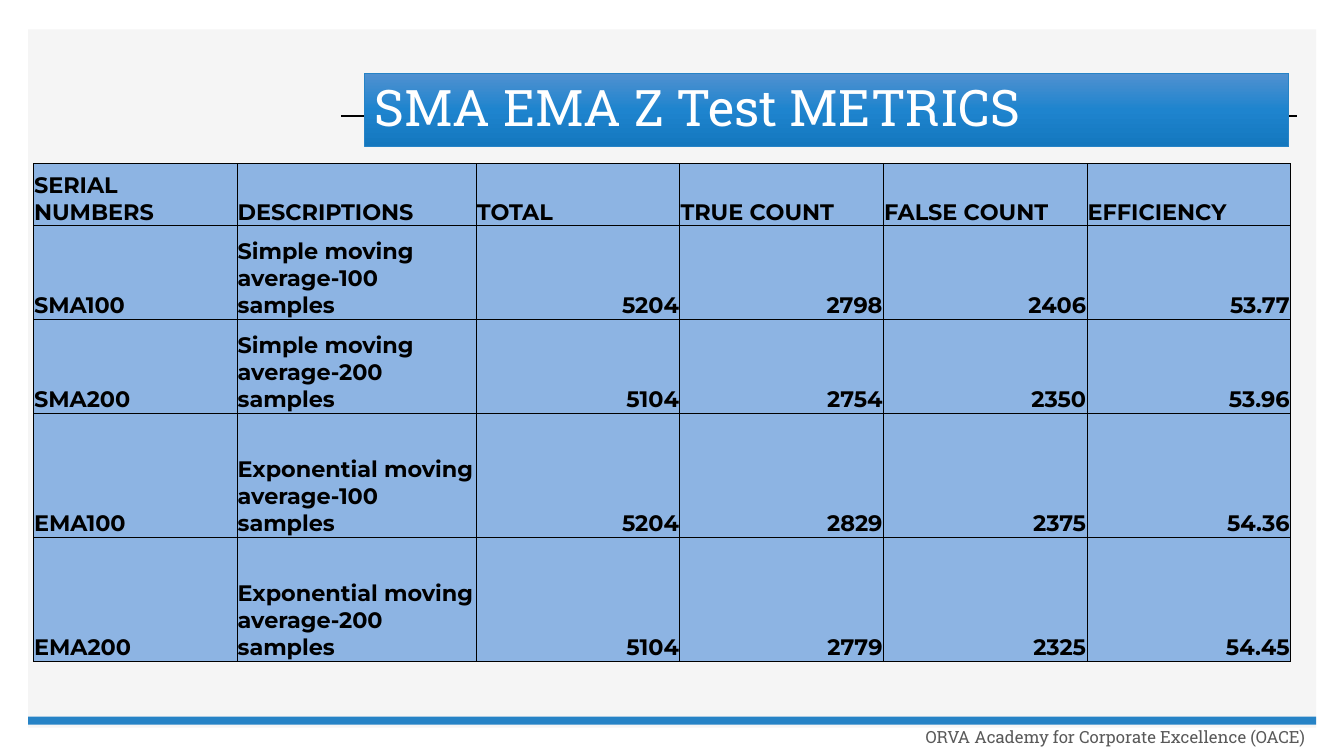
import copy

import pptx
import pptx.dml.color
import pptx.enum.shapes
import pptx.enum.text
import pptx.oxml
import pptx.oxml.ns
import pptx.util
from lxml import etree

Cm = pptx.util.Cm
Pt = pptx.util.Pt
RGBColor = pptx.dml.color.RGBColor
ALIGN = pptx.enum.text.PP_ALIGN
ANCHOR = pptx.enum.text.MSO_ANCHOR

BLACK = RGBColor(0x00, 0x00, 0x00)
WHITE = RGBColor(0xFF, 0xFF, 0xFF)
PANEL_GRAY = RGBColor(0xF5, 0xF5, 0xF5)
FOOTER_GRAY = RGBColor(0x59, 0x59, 0x59)
ACCENT_BLUE = RGBColor(0x26, 0x83, 0xC6)
CELL_BLUE = RGBColor(0x8D, 0xB4, 0xE3)
TITLE_GRADIENT = [
    (0, RGBColor(0x51, 0x91, 0xD0)),
    (0.5, RGBColor(0x1E, 0x84, 0xCE)),
    (1, RGBColor(0x14, 0x77, 0xBE)),
]

HEADERS = ["SERIAL NUMBERS", "DESCRIPTIONS", "TOTAL", "TRUE COUNT", "FALSE COUNT", "EFFICIENCY"]
METRICS = [
    ["SMA100", "Simple moving average-100 samples", "5204", "2798", "2406", "53.77"],
    ["SMA200", "Simple moving average-200 samples", "5104", "2754", "2350", "53.96"],
    ["EMA100", "Exponential moving average-100 samples", "5204", "2829", "2375", "54.36"],
    ["EMA200", "Exponential moving average-200 samples", "5104", "2779", "2325", "54.45"],
]
COLUMN_WIDTHS = [5.13, 6.03] + [5.13] * 4
ROW_HEIGHTS = [1.57, 2.36, 2.36, 3.13, 3.13]
FIRST_NUMBER_COLUMN = 2


class MetricsSlide:
    heading_font = "Roboto Slab"
    table_font = "Montserrat"

    def __init__(self, presentation):
        self.slide = presentation.slides.add_slide(presentation.slide_layouts[6])
        self.shapes = self.slide.shapes

    def set_text(self, text_frame, text, font_name, size, color, align=ALIGN.LEFT, bold=False):
        text_frame.text = text
        text_frame.word_wrap = True
        paragraph = text_frame.paragraphs[0]
        paragraph.alignment = align
        font = paragraph.runs[0].font
        font.name = font_name
        font.size = Pt(size)
        font.bold = bold
        font.color.rgb = color
        return paragraph

    def rectangle(self, left, top, width, height, color):
        shape = self.shapes.add_shape(
            pptx.enum.shapes.MSO_SHAPE.RECTANGLE, Cm(left), Cm(top), Cm(width), Cm(height))
        shape.shadow.inherit = False
        shape.fill.solid()
        shape.fill.fore_color.rgb = color
        shape.line.fill.background()
        return shape

    def rule(self, left, right, y):
        line = self.shapes.add_connector(
            pptx.enum.shapes.MSO_CONNECTOR.STRAIGHT, Cm(left), Cm(y), Cm(right), Cm(y))
        line.line.color.rgb = BLACK
        line.line.width = Pt(1)
        etree.SubElement(line._element.spPr, pptx.oxml.ns.qn("a:effectLst"))

    def footer(self, left, top, width, height, text):
        box = self.shapes.add_textbox(Cm(left), Cm(top), Cm(width), Cm(height))
        box.text_frame.vertical_anchor = ANCHOR.MIDDLE
        paragraph = self.set_text(
            box.text_frame, text, self.heading_font, 12, FOOTER_GRAY, ALIGN.RIGHT)
        paragraph.line_spacing = 0.9

    def title(self, left, top, width, height, text):
        banner = self.rectangle(left, top, width, height, ACCENT_BLUE)
        banner.line.color.rgb = ACCENT_BLUE
        banner.line.width = Pt(0.5)
        # Three-stop gradient running from top to bottom
        banner.fill.gradient()
        banner.fill.gradient_angle = 270
        stop_list = banner._element.spPr.find(".//" + pptx.oxml.ns.qn("a:gsLst"))
        stop_list.append(copy.deepcopy(stop_list[0]))
        for stop, (position, color) in zip(banner.fill.gradient_stops, TITLE_GRADIENT):
            stop.position = position
            stop.color.rgb = color
        banner.text_frame.vertical_anchor = ANCHOR.MIDDLE
        paragraph = self.set_text(banner.text_frame, text, self.heading_font, 36, WHITE)
        paragraph.line_spacing = 0.9

    def border(self, cell):
        properties = cell._tc.get_or_add_tcPr()
        for index, side in enumerate(("lnL", "lnR", "lnT", "lnB")):
            properties.insert(index, pptx.oxml.parse_xml(
                f'<a:{side} {pptx.oxml.ns.nsdecls("a")} w="{Pt(0.5)}"><a:solidFill>'
                f'<a:srgbClr val="{BLACK}"/></a:solidFill></a:{side}>'))

    def table(self, left, top, widths, heights, rows):
        table = self.shapes.add_table(
            len(rows), len(widths), Cm(left), Cm(top), Cm(sum(widths)), Cm(sum(heights))).table
        for column, width in zip(table.columns, widths):
            column.width = Cm(width)
        for row, height in zip(table.rows, heights):
            row.height = Cm(height)
        for row_index, texts in enumerate(rows):
            for column_index, text in enumerate(texts):
                cell = table.cell(row_index, column_index)
                cell.fill.solid()
                cell.fill.fore_color.rgb = CELL_BLUE
                cell.vertical_anchor = ANCHOR.BOTTOM
                cell.margin_left = cell.margin_right = cell.margin_top = Cm(0.02)
                cell.margin_bottom = 0
                is_number = row_index > 0 and column_index >= FIRST_NUMBER_COLUMN
                align = ALIGN.RIGHT if is_number else ALIGN.LEFT
                self.set_text(cell.text_frame, text, self.table_font, 16, BLACK, align, bold=True)
                self.border(cell)


def main():
    presentation = pptx.Presentation()
    presentation.slide_width = Cm(33.87)
    presentation.slide_height = Cm(19.05)
    metrics = MetricsSlide(presentation)

    # Background panel, rule and footer
    metrics.rectangle(0.71, 0.74, 32.46, 17.6, PANEL_GRAY)
    metrics.rule(8.59, 32.69, 2.92)
    metrics.rectangle(0.71, 18.06, 32.46, 0.2, ACCENT_BLUE)
    metrics.footer(22.1, 17.98, 11.05, 1.22, "ORVA Academy for Corporate Excellence (OACE)")

    # Title banner and results
    metrics.title(9.19, 1.84, 23.29, 1.86, "SMA EMA Z Test METRICS")
    metrics.table(0.84, 4.12, COLUMN_WIDTHS, ROW_HEIGHTS, [HEADERS] + METRICS)

    presentation.save("out.pptx")


if __name__ == "__main__":
    main()
